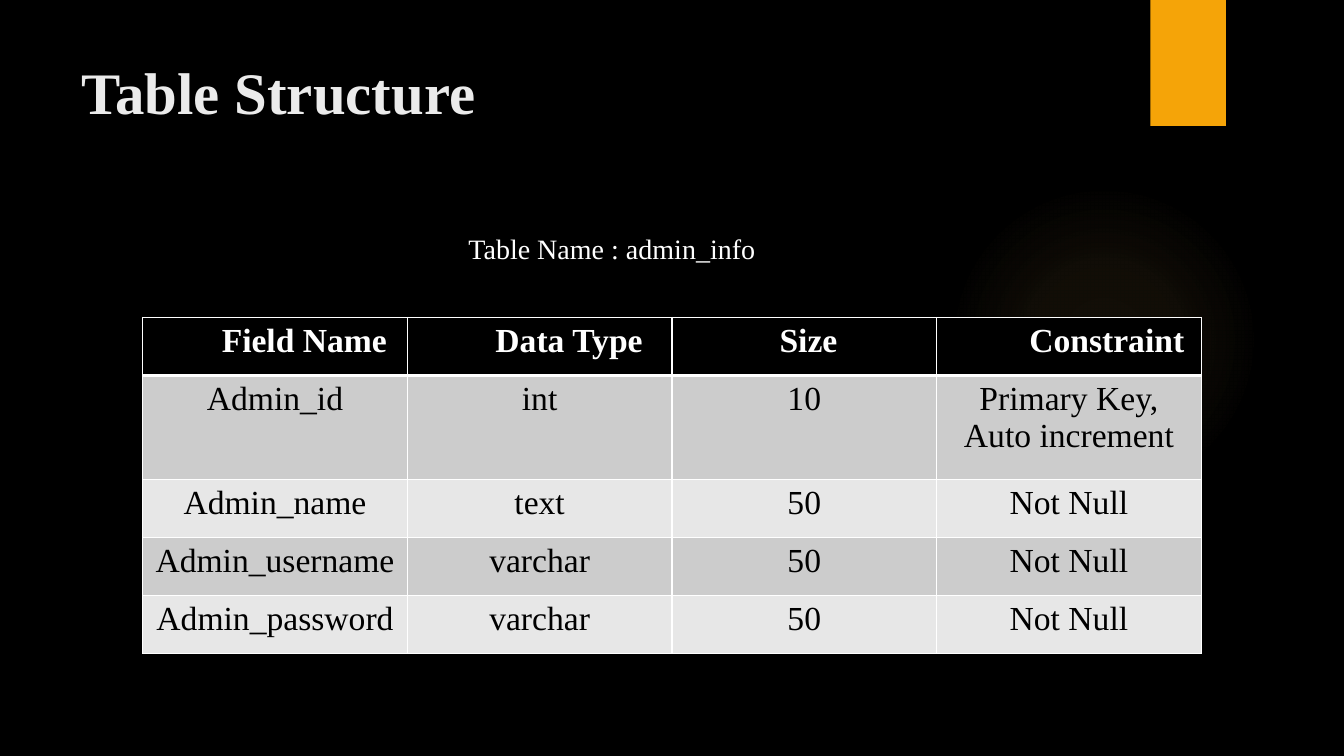
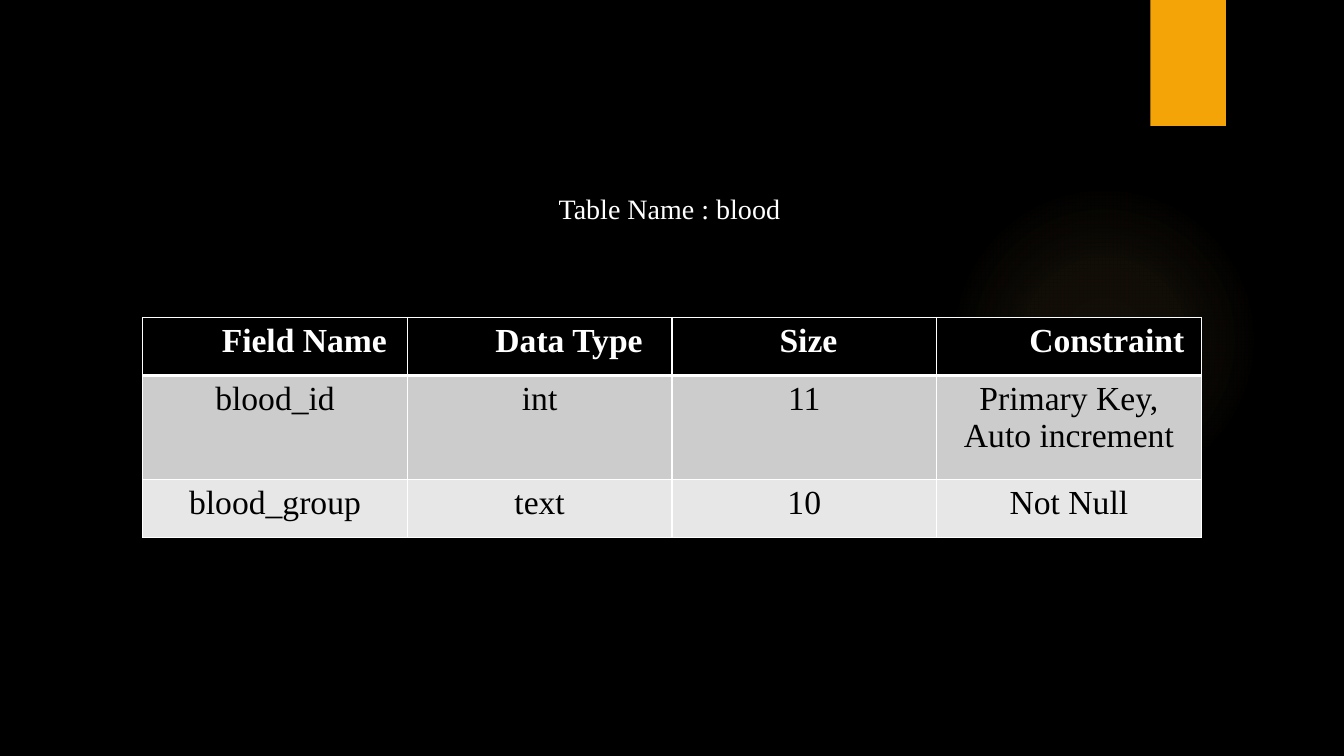
from pptx import Presentation
from pptx.dml.color import RGBColor as RGB
from pptx.enum.shapes import MSO_SHAPE as SHAPE
from pptx.enum.text import MSO_ANCHOR as ANCHOR, MSO_AUTO_SIZE as AUTO, PP_ALIGN as AL
from pptx.oxml import parse_xml
from pptx.oxml.ns import nsdecls, qn
from pptx.util import Inches as In, Pt

W, H = 13.33, 7.5
THEME = dict(
    font="Times New Roman", back="000000", accent="F5A408", glow="FAC96A",
    title="EBEBEB", light="FFFFFF", dark="000000", bands=("CCCCCC", "E7E7E7"),
    title_size=42, caption_size=20, cell_size=24, rule=1, head_rule=3,
)
GLOW_STOPS = [(0, 7), (36, 6), (69, 0)]
HEADER = [("Field Name", 42), ("Data Type", 42), ("Size", 6), ("Constraint", 54)]
KEY = "Primary Key,\nAuto increment"
SLIDES = [
    dict(title="Table Structure", caption="Table Name : admin_info",
         caption_box=(1.18, 2.25, 9.78, 4.59),
         rows=[("Admin_id", "int", "10", KEY),
               ("Admin_name", "text", "50", "Not Null"),
               ("Admin_username", "varchar", "50", "Not Null"),
               ("Admin_password", "varchar", "50", "Not Null")]),
    dict(title=None, caption="Table Name : blood",
         caption_box=(0.89, 1.85, 11.5, 4.91),
         rows=[("blood_id", "int", "11", KEY),
               ("blood_group", "text", "10", "Not Null")]),
]
TITLE_BOX = (0.71, 0.5, 10.29, 1.53)
TABLE_W, TABLE_TOP = 10.5, 3.15
ROW_H, LINE_H, CELL_PAD = 0.575, 0.46, 0.1


def put(sp, box):
    for name, value in zip(("left", "top", "width", "height"), box):
        setattr(sp, name, In(value))


def style(p, size, color, bold=False, align=AL.CENTER):
    p.alignment = align
    fmt = dict(name=THEME["font"], size=Pt(size), bold=bold)
    for r in p.runs:
        for key, value in fmt.items():
            setattr(r.font, key, value)
        r.font.color.rgb = RGB.from_string(color)


def fill_placeholder(sp, box, text, **look):
    put(sp, box)
    tf = sp.text_frame
    tf.text = text
    for key, value in dict(word_wrap=True, auto_size=AUTO.NONE, vertical_anchor=ANCHOR.TOP).items():
        setattr(tf, key, value)
    p = tf.paragraphs[0]
    pPr = p._p.get_or_add_pPr()
    pPr.set("marL", "0")
    pPr.set("indent", "0")
    pPr.append(parse_xml(f"<a:buNone {nsdecls('a')}/>"))
    p.space_before = Pt(0)
    style(p, **look)


def decorate_layout(layout, s):
    glow = s.shapes.add_shape(SHAPE.OVAL, In(9.41), In(1.83), In(3.08), In(3.08))
    stops = "".join(
        f'<a:gs pos="{pos * 1000}"><a:srgbClr val="{THEME["glow"]}">'
        f'<a:alpha val="{alpha * 1000}"/></a:srgbClr></a:gs>' for pos, alpha in GLOW_STOPS)
    glow._element.spPr.find(qn("a:prstGeom")).addnext(parse_xml(
        f'<a:gradFill {nsdecls("a")}><a:gsLst>{stops}</a:gsLst><a:path path="circle">'
        '<a:fillToRect l="50000" t="50000" r="50000" b="50000"/></a:path></a:gradFill>'))
    tab = s.shapes.add_shape(SHAPE.RECTANGLE, In(11.41), 0, In(0.75), In(1.25))
    tab.fill.solid()
    tab.fill.fore_color.rgb = RGB.from_string(THEME["accent"])
    for i, sp in enumerate((glow, tab)):
        sp.line.fill.background()
        sp.shadow.inherit = False
        sp._element.nvSpPr.cNvPr.set("id", str(20 + i))
        layout.shapes._spTree.insert(2 + i, sp._element)
    tab._element.spPr.find(qn("a:effectLst")).append(parse_xml(
        f'<a:outerShdw {nsdecls("a")} blurRad="{Pt(3)}" dist="{Pt(2)}" dir="5400000">'
        '<a:srgbClr val="000000"><a:alpha val="45000"/></a:srgbClr></a:outerShdw>'))


def add_border(cell, side, width):
    cell._tc.get_or_add_tcPr().append(parse_xml(
        f'<a:ln{side} {nsdecls("a")} w="{Pt(width)}"><a:solidFill>'
        f'<a:srgbClr val="{THEME["light"]}"/></a:solidFill></a:ln{side}>'))


def draw_table(s, rows):
    grid = [[name for name, _ in HEADER], *rows]
    heights = [ROW_H + LINE_H * max(t.count("\n") for t in row) for row in grid]
    tbl = s.shapes.add_table(len(grid), len(HEADER), In((W - TABLE_W) / 2), In(TABLE_TOP),
                             In(TABLE_W), In(sum(heights))).table
    for col in tbl.columns:
        col.width = In(TABLE_W / len(HEADER))
    for i, (row, height) in enumerate(zip(grid, heights)):
        head = i == 0
        tbl.rows[i].height = In(height)
        rules = dict(L=THEME["rule"], R=THEME["rule"],
                     T=THEME["head_rule" if i == 1 else "rule"],
                     B=THEME["head_rule" if head else "rule"])
        for j, text in enumerate(row):
            cell = tbl.cell(i, j)
            cell.text = text
            for side, width in rules.items():
                add_border(cell, side, width)
            cell.fill.solid()
            cell.fill.fore_color.rgb = RGB.from_string(
                THEME["back"] if head else THEME["bands"][(i - 1) % 2])
            if head:
                cell.margin_left = In(CELL_PAD) + Pt(HEADER[j][1])
            for p in cell.text_frame.paragraphs:
                style(p, THEME["cell_size"], THEME["light" if head else "dark"], head)


def main():
    prs = Presentation()
    prs.slide_width, prs.slide_height = In(W), In(H)
    bg = prs.slide_master.background.fill
    bg.solid()
    bg.fore_color.rgb = RGB.from_string(THEME["back"])
    layout = prs.slide_layouts[1]
    for n, item in enumerate(SLIDES):
        s = prs.slides.add_slide(layout)
        if n == 0:
            decorate_layout(layout, s)
        title, body = s.placeholders
        if item["title"]:
            fill_placeholder(title, TITLE_BOX, item["title"], size=THEME["title_size"],
                             color=THEME["title"], bold=True, align=AL.LEFT)
        else:
            title._element.getparent().remove(title._element)
        fill_placeholder(body, item["caption_box"], item["caption"],
                         size=THEME["caption_size"], color=THEME["light"])
        draw_table(s, item["rows"])
    prs.save("out.pptx")


if __name__ == "__main__":
    main()
